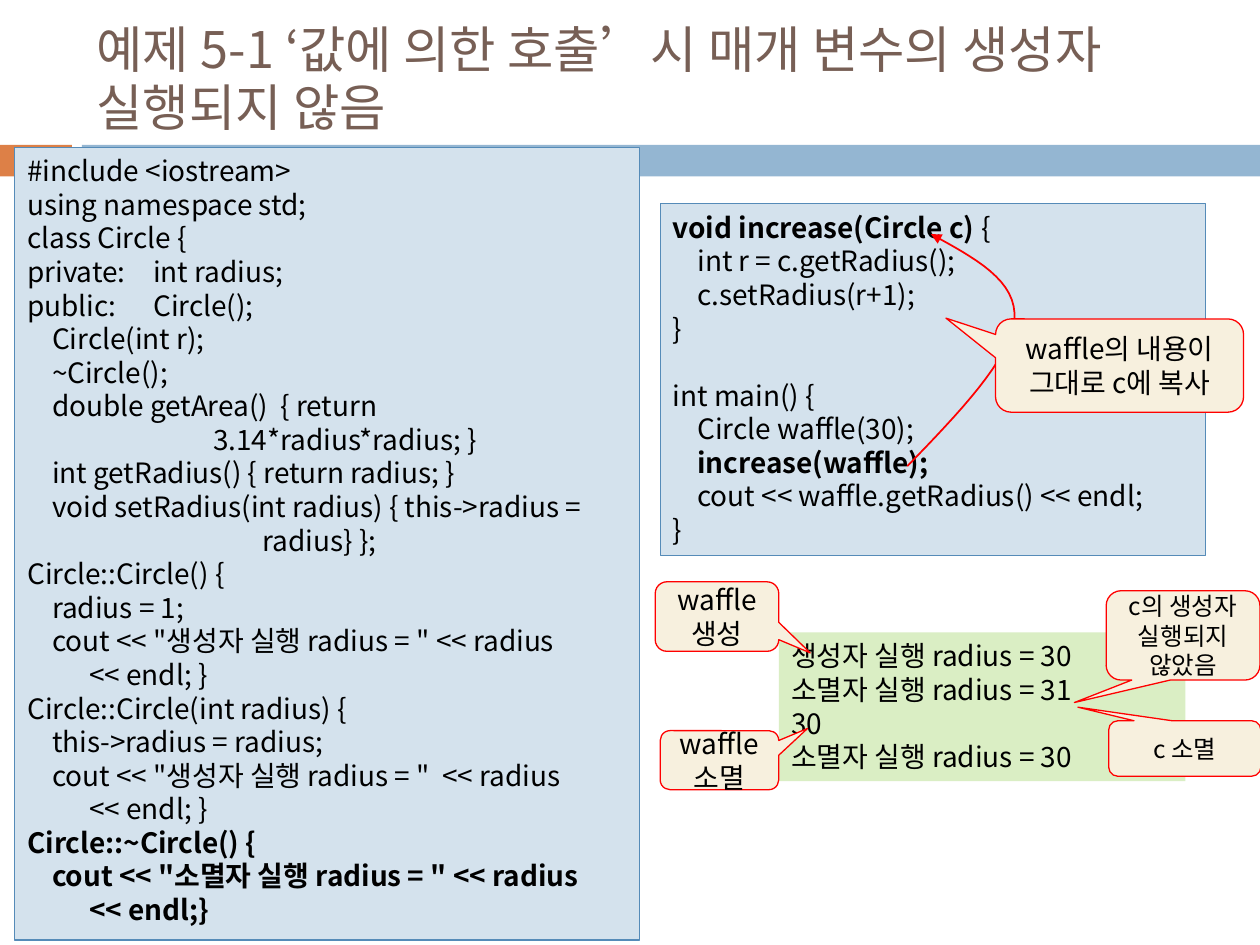
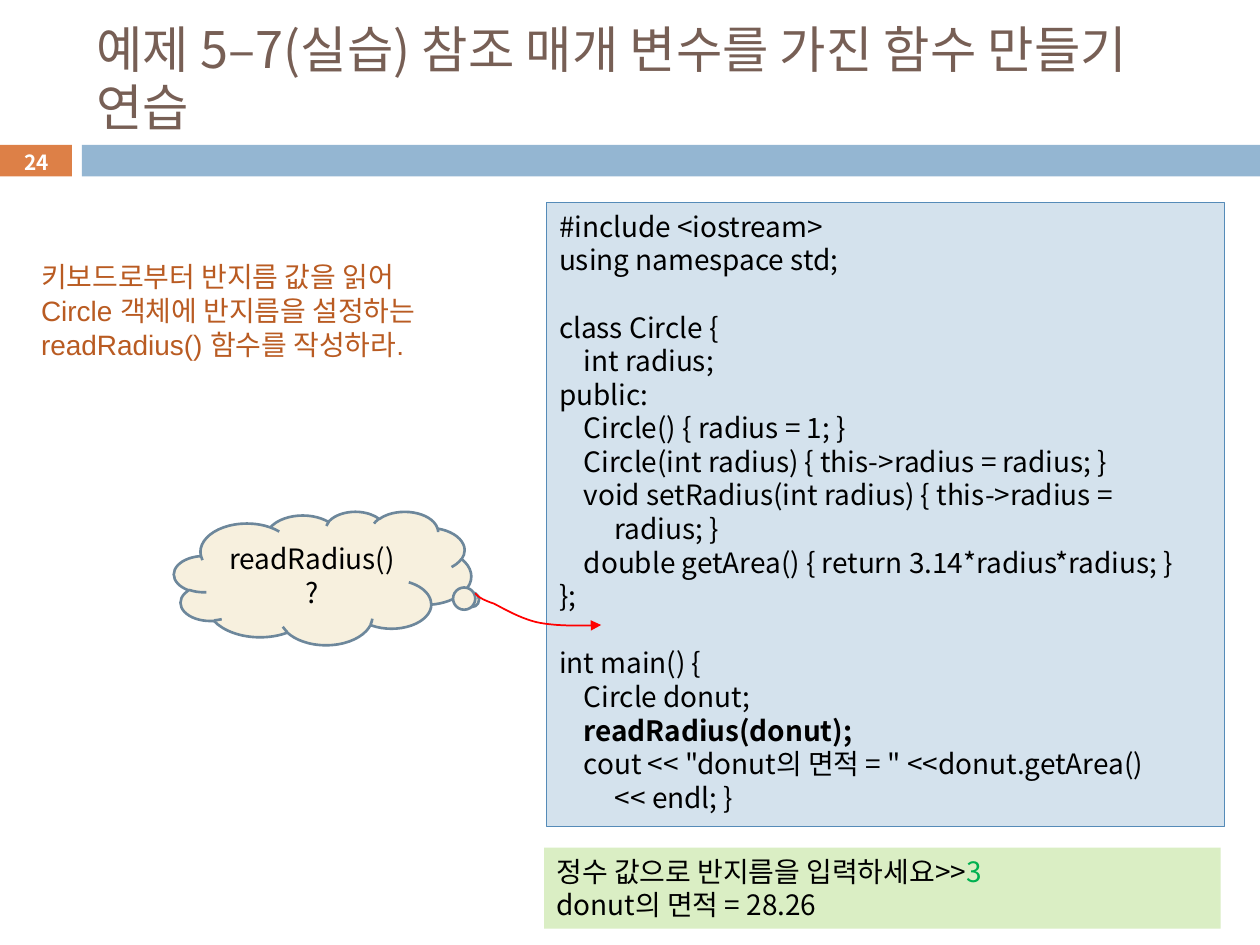
from lxml import etree
from pptx import Presentation
from pptx.dml.color import RGBColor as RGB
from pptx.enum.shapes import MSO_SHAPE as SHAPE
from pptx.enum.text import MSO_ANCHOR as ANCHOR, PP_ALIGN as ALIGN
from pptx.oxml.ns import qn
from pptx.util import Cm, Pt

COLORS = {
    "orange": "DD8047", "blue": "94B6D2", "title": "775F55", "white": "FFFFFF",
    "code": "D4E2ED", "code_line": "558BB8", "output": "DAEEC4",
    "callout": "F7F0DE", "red": "FF0000", "cloud_line": "6D879B",
    "text": "000000", "input": "00B050", "task": "B95B22",
}
FONT = "Noto Sans CJK KR"
INDENT = 0.125   # cm for each leading space of a line
TAB = 0.5        # cm between tab stops
CURVE_STEPS = 16

CIRCLE_CODE = """#include <iostream>
using namespace std;
class Circle {
private: \tint radius;
public: \tCircle();
    Circle(int r);
    ~Circle();
    double getArea()  { return
                              3.14*radius*radius; }
    int getRadius() { return radius; }
    void setRadius(int radius) { this->radius =
                                      radius} };
Circle::Circle() {
    radius = 1;
    cout << "생성자 실행 radius = " << radius
          << endl; }
Circle::Circle(int radius) {
    this->radius = radius;
    cout << "생성자 실행 radius = "  << radius
          << endl; }
**Circle::~Circle() {**
    **cout << "소멸자 실행 radius = " << radius**
          **<< endl;}**"""

INCREASE_CODE = """**void increase(Circle c) **{
    int r = c.getRadius();
    c.setRadius(r+1);
}

int main() {
    Circle waffle(30);
    **increase(waffle);**
    cout << waffle.getRadius() << endl;
}"""

INCREASE_OUTPUT = """생성자 실행 radius = 30
소멸자 실행 radius = 31
30
소멸자 실행 radius = 30"""

DONUT_CODE = """#include <iostream>
using namespace std;

class Circle {
    int radius;
public:
    Circle() { radius = 1; }
    Circle(int radius) { this->radius = radius; }
    void setRadius(int radius) { this->radius =
         radius; }
    double getArea() { return 3.14*radius*radius; }
};

int main() {
    Circle donut;
    **readRadius(donut);**
    cout << "donut의 면적 = " <<donut.getArea()
         << endl; }"""

DONUT_OUTPUT = """정수 값으로 반지름을 입력하세요>>**3**
donut의 면적 = 28.26"""

TASK = """키보드로부터 반지름 값을 읽어
Circle 객체에 반지름을 설정하는
readRadius() 함수를 작성하라."""


def bezier(p0, p1, p2, p3):
    """Points along a cubic curve, without its start."""
    for i in range(1, CURVE_STEPS + 1):
        t = i / CURVE_STEPS
        u = 1 - t
        yield tuple(u**3 * a + 3 * u * u * t * b + 3 * u * t * t * c + t**3 * d
                    for a, b, c, d in zip(p0, p1, p2, p3))


class Deck:
    def __init__(self):
        self.prs = Presentation()
        self.prs.slide_width, self.prs.slide_height = Cm(25.4), Cm(19.05)
        self.slide = None

    def new_slide(self, title, number=None):
        """Start a slide with its bands, title and, if given, its number."""
        self.slide = self.prs.slides.add_slide(self.prs.slide_layouts[6])
        self.shape(SHAPE.RECTANGLE, (0, 2.92, 1.45, 0.64), "orange")
        self.shape(SHAPE.RECTANGLE, (1.65, 2.92, 23.75, 0.64), "blue")
        self.text_box((1.7, 0.64, 22.66, 1.88), title, size=28.8, color="title",
                      anchor=ANCHOR.MIDDLE, spacing=1.15)
        if number:
            self.text_box((0, 2.92, 1.47, 0.69), f"**{number}**", size=11.9,
                          color="white", anchor=ANCHOR.MIDDLE, align=ALIGN.CENTER)

    def shape(self, kind, at, fill, line=None, width=0.75, adj=()):
        sp = self.slide.shapes.add_shape(kind, *map(Cm, at))
        sp.shadow.inherit = False
        sp.fill.solid()
        sp.fill.fore_color.rgb = RGB.from_string(COLORS[fill])
        self.outline(sp, line, width)
        for i, value in enumerate(adj):
            sp.adjustments[i] = value
        return sp

    def outline(self, sp, color, width):
        if color is None:
            sp.line.fill.background()
            return
        sp.line.color.rgb = RGB.from_string(COLORS[color])
        sp.line.width = Pt(width)

    def put_text(self, sp, text, size=16, color="text", font=FONT, anchor=ANCHOR.TOP,
                 align=ALIGN.LEFT, spacing=1.2, accent=None):
        """Fill a shape with lines; leading spaces indent, ** marks accented parts."""
        tf = sp.text_frame
        frame = {"word_wrap": True, "vertical_anchor": anchor,
                 "margin_left": Cm(0.25), "margin_right": Cm(0.25),
                 "margin_top": Cm(0.13), "margin_bottom": Cm(0.13)}
        for name, value in frame.items():
            setattr(tf, name, value)
        p, gap = None, 0
        for line in text.split("\n"):
            if not line:
                gap += size * spacing
                continue
            p = tf.add_paragraph() if p is not None else tf.paragraphs[0]
            layout = {"alignment": align, "line_spacing": Pt(size * spacing),
                      "space_before": Pt(gap)}
            for name, value in layout.items():
                setattr(p, name, value)
            gap = 0
            body = line.lstrip(" ")
            self.indent(p, len(line) - len(body), body.count("\t"))
            for i, part in enumerate(body.split("**")):
                if part:
                    self.put_run(p, part, size, color, font, accent, i % 2 == 1)

    def indent(self, p, spaces, tabs):
        pPr = p._p.get_or_add_pPr()
        pPr.set("marL", str(Cm(spaces * INDENT)))
        pPr.set("indent", "0")
        if tabs:
            stops = etree.SubElement(pPr, qn("a:tabLst"))
            for i in range(1, 8):
                etree.SubElement(stops, qn("a:tab"), pos=str(Cm(i * TAB)), algn="l")

    def put_run(self, p, text, size, color, font, accent, marked):
        r = p.add_run()
        r.text = text
        tint = accent if marked and accent else color
        style = {"size": Pt(size), "name": font, "bold": marked and not accent}
        for name, value in style.items():
            setattr(r.font, name, value)
        r.font.color.rgb = RGB.from_string(COLORS[tint])
        etree.SubElement(r._r.get_or_add_rPr(), qn("a:ea"), typeface=FONT)

    def text_box(self, at, text, **style):
        self.put_text(self.slide.shapes.add_textbox(*map(Cm, at)), text, **style)

    def code(self, at, text):
        self.put_text(self.shape(SHAPE.RECTANGLE, at, "code", "code_line"), text)

    def output(self, at, text):
        self.put_text(self.shape(SHAPE.RECTANGLE, at, "output"), text, accent="input")

    def callout(self, at, tip, text, size=16):
        sp = self.shape(SHAPE.ROUNDED_RECTANGULAR_CALLOUT, at, "callout", "red",
                        adj=(*tip, 0.167))
        self.put_text(sp, text, size=size, anchor=ANCHOR.MIDDLE, align=ALIGN.CENTER)

    def cloud(self, at, tip, text):
        sp = self.shape(SHAPE.CLOUD_CALLOUT, at, "callout", "cloud_line", 1.5, tip)
        self.put_text(sp, text, anchor=ANCHOR.MIDDLE, align=ALIGN.CENTER)

    def curved_arrow(self, *knots):
        """Red arrow through cubic curves: a start, then three points for each."""
        points = [pt for i in range(0, len(knots) - 1, 3)
                  for pt in bezier(*knots[i:i + 4])]
        ff = self.slide.shapes.build_freeform(*map(Cm, knots[0]))
        ff.add_line_segments([(Cm(x), Cm(y)) for x, y in points], close=False)
        sp = ff.convert_to_shape()
        sp.shadow.inherit = False
        sp.fill.background()
        self.outline(sp, "red", 1)
        ln = sp._element.spPr.find(qn("a:ln"))
        etree.SubElement(ln, qn("a:tailEnd"), type="triangle")


def call_by_value(deck):
    deck.new_slide("예제 5-1 ‘값에 의한 호출’시 매개 변수의 생성자 실행되지 않음")
    deck.code((0.3, 2.97, 12.6, 15.98), CIRCLE_CODE)
    deck.code((13.31, 4.11, 11, 7.09), INCREASE_CODE)
    deck.output((15.7, 12.75, 8.2, 3), INCREASE_OUTPUT)
    deck.callout((13.21, 11.73, 2.49, 1.4), (0.755, 0.523), "waffle 생성")
    deck.callout((22.35, 14.53, 3.07, 1.12), (-0.702, -0.744), "c 소멸", 14)
    deck.callout((22.3, 11.91, 3.1, 1.8), (-0.707, 0.752),
                 "c의 생성자\n실행되지 않았음", 14)
    deck.callout((13.31, 14.73, 2.39, 1.19), (0.743, -0.537), "waffle 소멸")
    deck.curved_arrow((18.29, 9.4), (19.33, 8.33), (20.37, 7.24), (20.45, 6.45),
                      (20.52, 5.66), (19.66, 5.21), (18.77, 4.72))
    deck.callout((20.07, 6.43, 5, 1.88), (-0.7, -0.509),
                 "waffle의 내용이 그대로 c에 복사")


def reference_parameter(deck):
    deck.new_slide("예제 5–7(실습) 참조 매개 변수를 가진 함수 만들기 연습", 24)
    deck.code((11.02, 4.09, 13.67, 12.57), DONUT_CODE)
    deck.output((10.97, 17.09, 13.64, 1.63), DONUT_OUTPUT)
    deck.text_box((0.58, 5.11, 8.99, 2.31), TASK, color="task", font="Arial")
    deck.cloud((3.51, 10.31, 5.99, 2.69), (0.502, 0.162), "readRadius() ?")
    deck.curved_arrow((9.58, 11.96), (9.65, 12.04), (9.73, 12.09), (9.96, 12.17),
                      (10.16, 12.27), (10.49, 12.47), (10.85, 12.55),
                      (11.2, 12.62), (11.66, 12.62), (12.12, 12.6))


def main():
    deck = Deck()
    call_by_value(deck)
    reference_parameter(deck)
    deck.prs.save("out.pptx")


if __name__ == "__main__":
    main()
